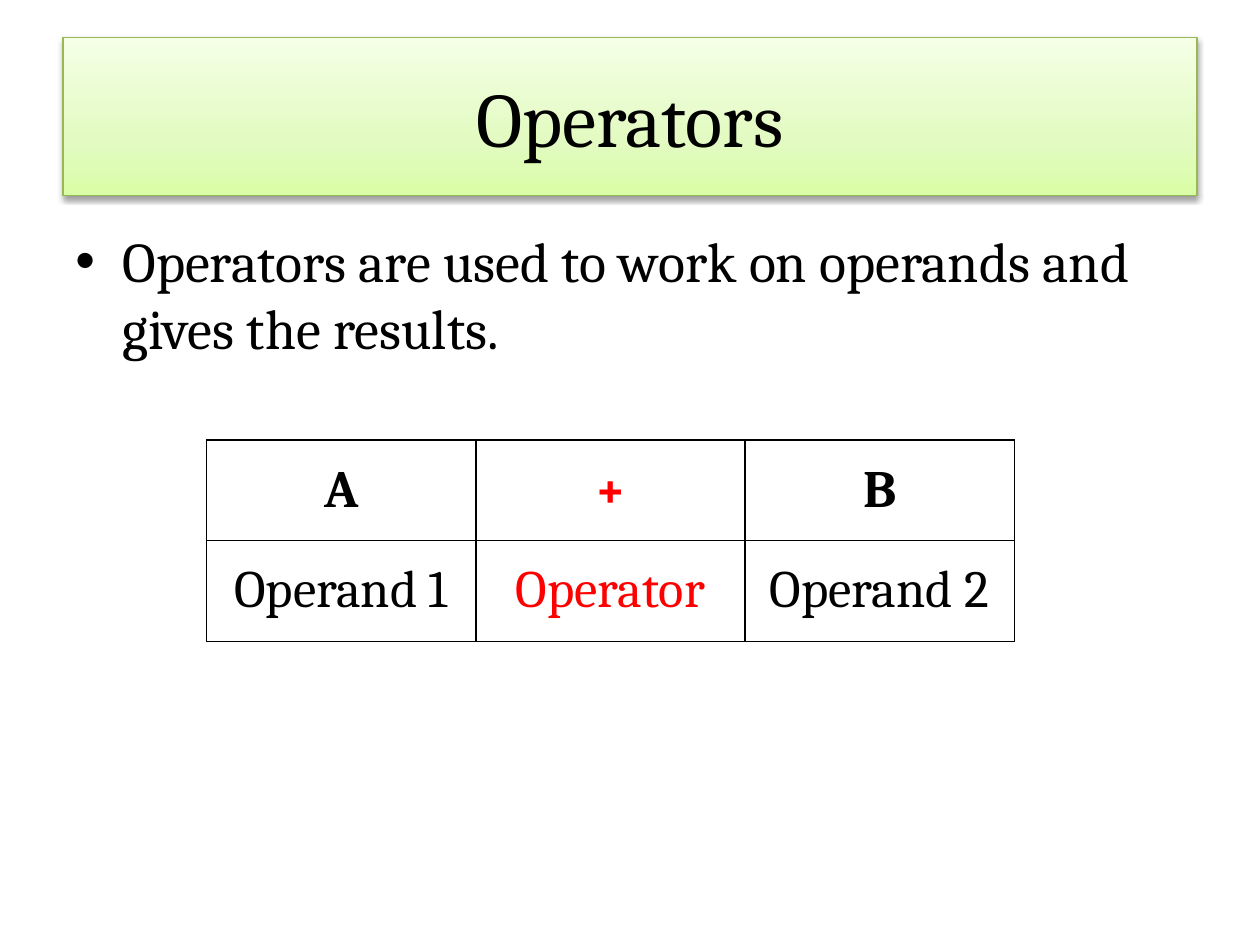
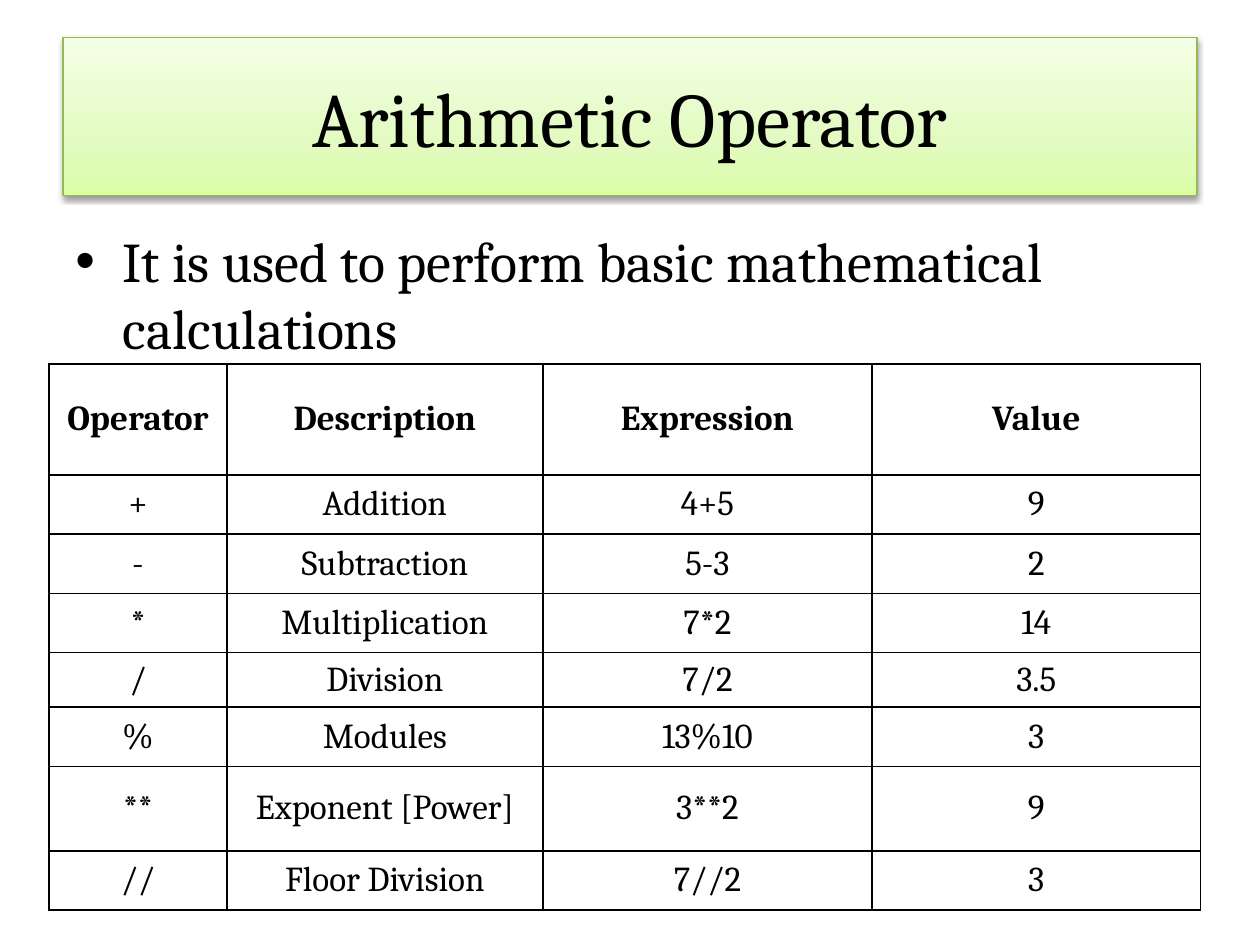
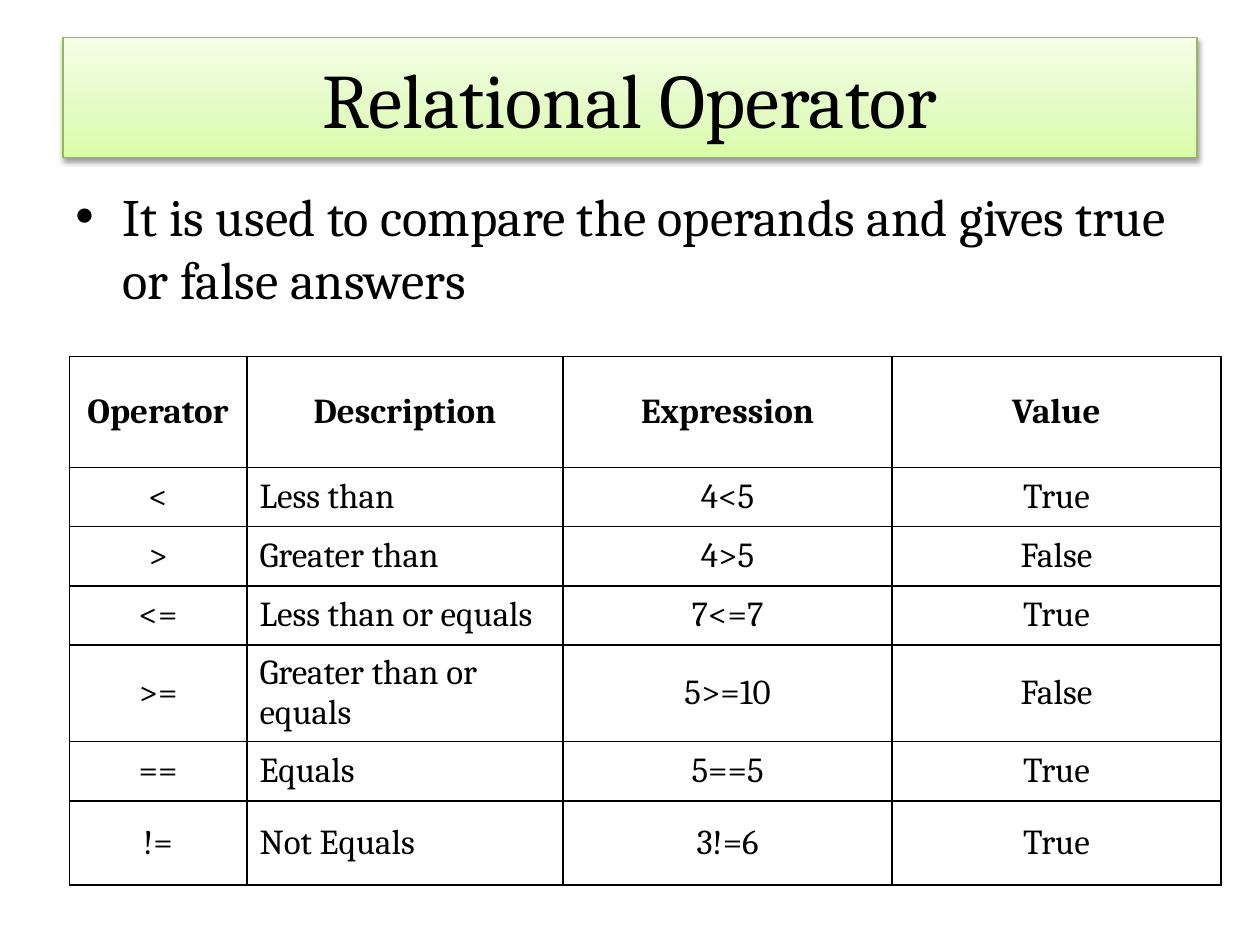
import pptx
import pptx.util
import pptx.dml.color
import pptx.enum.text
import pptx.oxml
import pptx.oxml.ns
from lxml import etree

Inches, Pt = pptx.util.Inches, pptx.util.Pt
ALIGN = pptx.enum.text.PP_ALIGN
MIDDLE = pptx.enum.text.MSO_ANCHOR.MIDDLE
qn = pptx.oxml.ns.qn

# Shared style
COLORS = {"text": "000000", "accent": "FF0000", "border": "000000"}
FONT = "Cambria"
TITLE_SIZE = 44
# Theme style of the title: part, index, theme colour
TITLE_STYLE = [("lnRef", "1", "accent3"), ("fillRef", "2", "accent3"),
               ("effectRef", "1", "accent3"), ("fontRef", "minor", "dk1")]
SLIDE_W, SLIDE_H = 10, 7.5
MARGIN = 0.05 * SLIDE_W
TITLE_TOP = 0.04 * SLIDE_H
INDENT = 0.375
ROW, SHORT_ROW, TALL_ROW, HEAD_ROW = 0.47, 0.4, 0.67, 0.88
OPERATOR_COLS = [1.41, 2.51, 2.61, 2.61]
OPERATOR_ROWS = [HEAD_ROW, ROW, ROW, ROW, SHORT_ROW, ROW, TALL_ROW]
HEADINGS = ["Operator", "Description", "Expression", "Value"]

# Content
SLIDES = [
    {
        "title": "Operators", "title_h": 1.25,
        "body": "Operators are used to work on operands and gives the results.",
        "body_top": 1.75, "body_h": 4.95, "body_size": 32,
        "table_at": (1.64, 3.49), "cols": [6.41 / 3] * 3, "heights": [0.8] * 2,
        "size": 30, "accent_col": 1,
        "rows": [["A", "+", "B"], ["Operand 1", "Operator", "Operand 2"]],
    },
    {
        "title": "Arithmetic Operator", "title_h": 1.25,
        "body": "It is used to perform basic mathematical calculations",
        "body_top": 1.75, "body_h": 1.14, "body_size": 32,
        "table_at": (0.39, 2.89), "cols": OPERATOR_COLS,
        "heights": OPERATOR_ROWS + [ROW],
        "size": 20,
        "rows": [
            HEADINGS,
            ["+", "Addition", "4+5", "9"],
            ["-", "Subtraction", "5-3", "2"],
            ["*", "Multiplication", "7*2", "14"],
            ["/", "Division", "7/2", "3.5"],
            ["%", "Modules", "13%10", "3"],
            ["**", "Exponent [Power]", "3**2", "9"],
            ["//", "Floor Division", "7//2", "3"],
        ],
    },
    {
        "title": "Relational Operator", "title_h": 0.95,
        "body": "It is used to compare the operands and gives true or false answers",
        "body_top": 1.41, "body_h": 1.14, "body_size": 30,
        "table_at": (0.55, 2.83), "cols": OPERATOR_COLS,
        "heights": OPERATOR_ROWS,
        "size": 20, "left_col": 1,
        "rows": [
            HEADINGS,
            ["<", "Less than", "4<5", "True"],
            [">", "Greater than", "4>5", "False"],
            ["<=", "Less than or equals", "7<=7", "True"],
            [">=", "Greater than or equals", "5>=10", "False"],
            ["==", "Equals", "5==5", "True"],
            ["!=", "Not Equals", "3!=6", "True"],
        ],
    },
]


def write(tf, text, size, color="text", bold=False, align=ALIGN.CENTER):
    """Fill a text frame with one formatted paragraph and return it."""
    tf.text = text
    p = tf.paragraphs[0]
    p.alignment = align
    font = p.runs[0].font
    font.name, font.size, font.bold = FONT, Pt(size), bold
    font.color.rgb = pptx.dml.color.RGBColor.from_string(COLORS[color])
    return p


def add_bullet(p):
    pPr = p._p.get_or_add_pPr()
    pPr.set("marL", str(Inches(INDENT)))
    pPr.set("indent", str(-Inches(INDENT)))
    etree.SubElement(pPr, qn("a:buFont")).set("typeface", "Arial")
    etree.SubElement(pPr, qn("a:buChar")).set("char", "•")


def add_borders(cell):
    tcPr = cell._tc.get_or_add_tcPr()
    for i, side in enumerate(("lnL", "lnR", "lnT", "lnB")):
        ln = etree.Element(qn("a:" + side), w=str(Pt(1)))
        fill = etree.SubElement(ln, qn("a:solidFill"))
        etree.SubElement(fill, qn("a:srgbClr")).set("val", COLORS["border"])
        tcPr.insert(i, ln)


def add_theme_style(sp):
    style = etree.Element(qn("p:style"))
    for part, idx, color in TITLE_STYLE:
        ref = etree.SubElement(style, qn("a:" + part), idx=idx)
        etree.SubElement(ref, qn("a:schemeClr")).set("val", color)
    sp._element.spPr.addnext(style)


def add_title(s, c):
    sp = s.shapes.title
    sp.left, sp.top = Inches(MARGIN), Inches(TITLE_TOP)
    sp.width, sp.height = Inches(SLIDE_W - 2 * MARGIN), Inches(c["title_h"])
    sp.text_frame.vertical_anchor = MIDDLE
    write(sp.text_frame, c["title"], TITLE_SIZE)
    add_theme_style(sp)


def add_body(s, c):
    sp = s.shapes.add_textbox(Inches(MARGIN), Inches(c["body_top"]),
                              Inches(SLIDE_W - 2 * MARGIN), Inches(c["body_h"]))
    sp.text_frame.word_wrap = True
    p = write(sp.text_frame, c["body"], c["body_size"], align=ALIGN.LEFT)
    p.space_before = Pt(0.2 * c["body_size"])
    add_bullet(p)


def add_grid(s, c):
    left, top = c["table_at"]
    table = s.shapes.add_table(
        len(c["rows"]), len(c["cols"]), Inches(left), Inches(top),
        Inches(sum(c["cols"])), Inches(sum(c["heights"]))).table
    table.horz_banding = False
    for col, width in zip(table.columns, c["cols"]):
        col.width = Inches(width)
    for row, height in zip(table.rows, c["heights"]):
        row.height = Inches(height)
    for i, texts in enumerate(c["rows"]):
        for j, text in enumerate(texts):
            cell = table.cell(i, j)
            cell.fill.background()
            cell.vertical_anchor = MIDDLE
            is_left = i > 0 and j == c.get("left_col")
            write(cell.text_frame, text, c["size"],
                  color="accent" if j == c.get("accent_col") else "text",
                  bold=i == 0, align=ALIGN.LEFT if is_left else ALIGN.CENTER)
            add_borders(cell)


# Build
prs = pptx.Presentation()
prs.slide_width, prs.slide_height = Inches(SLIDE_W), Inches(SLIDE_H)
for content in SLIDES:
    s = prs.slides.add_slide(prs.slide_layouts[5])
    add_title(s, content)
    add_body(s, content)
    add_grid(s, content)
prs.save("out.pptx")
